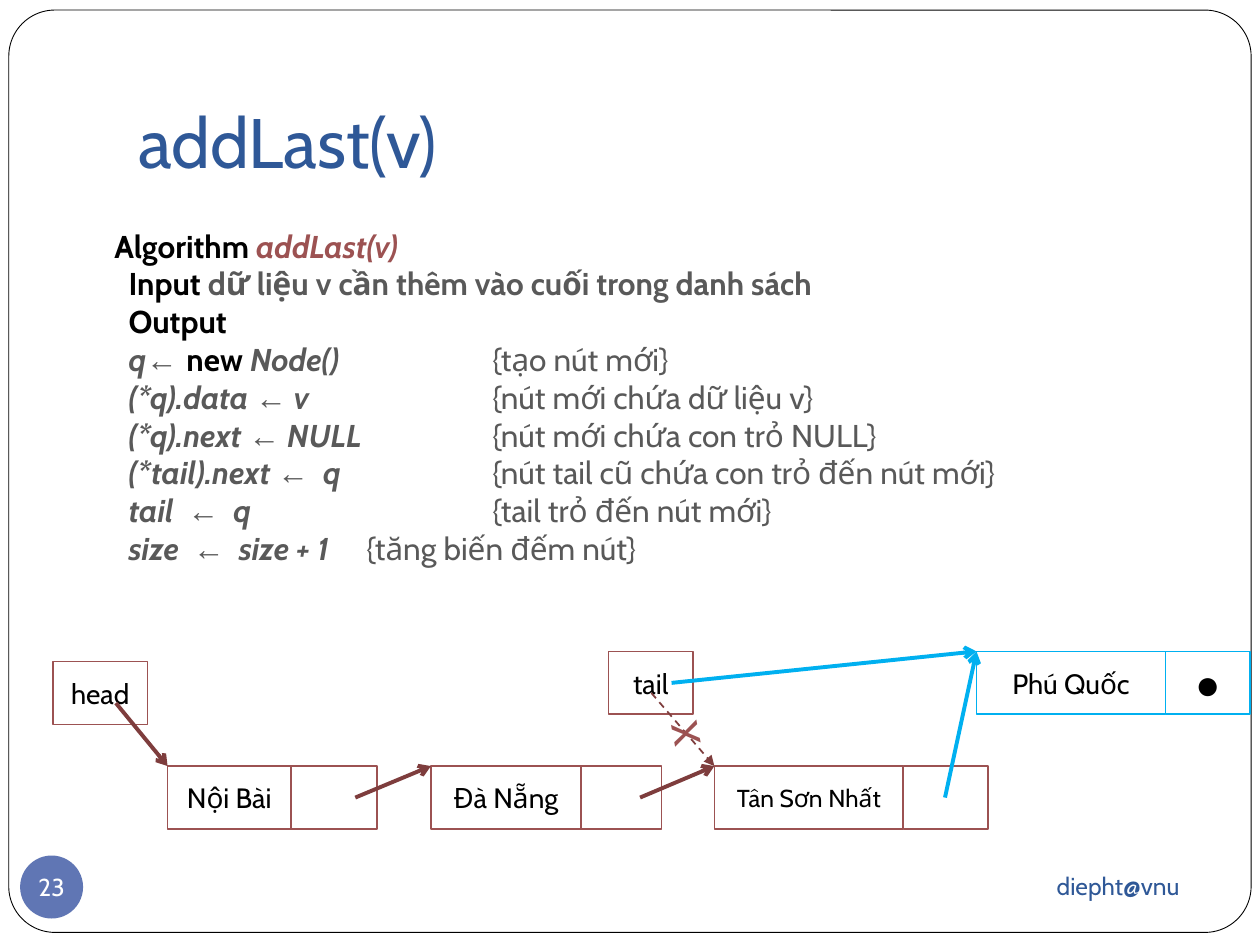
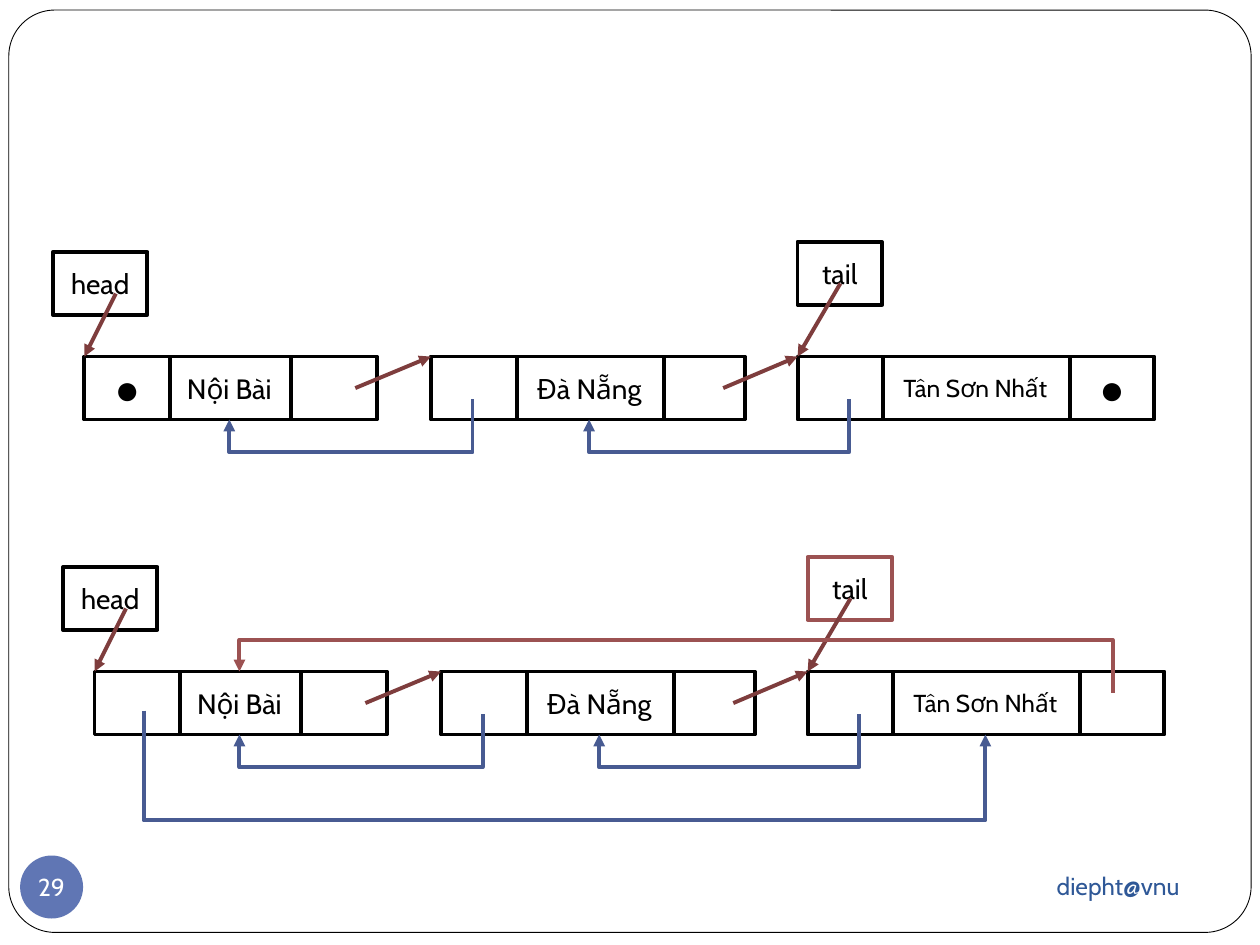
from lxml import etree
from pptx import Presentation
from pptx.dml.color import RGBColor
from pptx.enum.dml import MSO_LINE
from pptx.enum.shapes import MSO_CONNECTOR, MSO_SHAPE
from pptx.enum.text import MSO_ANCHOR, PP_ALIGN
from pptx.oxml.ns import qn
from pptx.util import Inches, Pt

RECTANGLE, ROUNDED, OVAL = MSO_SHAPE.RECTANGLE, MSO_SHAPE.ROUNDED_RECTANGLE, MSO_SHAPE.OVAL
STRAIGHT, ELBOW = MSO_CONNECTOR.STRAIGHT, MSO_CONNECTOR.ELBOW
LEFT, CENTER, RIGHT = PP_ALIGN.LEFT, PP_ALIGN.CENTER, PP_ALIGN.RIGHT
TOP, MIDDLE, BOTTOM = MSO_ANCHOR.TOP, MSO_ANCHOR.MIDDLE, MSO_ANCHOR.BOTTOM
DASH = MSO_LINE.DASH

COLORS = {
    "white": "FFFFFF", "black": "000000", "title": "2F5897", "badge": "6076B4",
    "red": "9C5252", "dark red": "7E3D3D", "blue": "485B92", "cyan": "00B0F0",
    "gray": "595959",
}
FONT, SYMBOL_FONT = "Cabin", "Arial"
STYLES = {
    "keyword": ("black", True, False, FONT),
    "name": ("red", True, True, FONT),
    "input": ("gray", True, False, FONT),
    "code": ("gray", True, True, FONT),
    "assign": ("gray", True, True, SYMBOL_FONT),
    "note": ("gray", False, False, FONT),
    "label": ("black", False, False, FONT),
    "dot": ("black", False, False, SYMBOL_FONT),
    "cross": ("red", False, False, SYMBOL_FONT),
    "title": ("title", False, False, FONT),
    "badge": ("white", False, False, FONT),
}
CELL_HEIGHT = 0.5
NOI_BAI = ("Nội Bài", 16, 0.98, 0.68)
DA_NANG = ("Đà Nẵng", 16, 1.19, 0.64)
TAN_SON_NHAT = ("Tân Sơn Nhất", 14, 1.5, 0.67)
PHU_QUOC = ("Phú Quốc", 16, 1.5, 0.67)

ALGORITHM = [
    [("Algorithm ", "keyword"), ("addLast(v)", "name")],
    [("  Input ", "keyword"), ("dữ liệu v cần thêm vào cuối trong danh sách", "input")],
    [("  Output", "keyword")],
    [("  q", "code"), ("← ", "assign"), ("new", "keyword"), (" Node()\t\t", "code"),
     ("{tạo nút mới}", "note")],
]
ASSIGNMENTS = [
    ("  (*q).data ", " v\t\t", "{nút mới chứa dữ liệu v}"),
    ("  (*q).next ", " NULL \t", "{nút mới chứa con trỏ NULL}"),
    ("  (*tail).next ", "  q\t\t", "{nút tail cũ chứa con trỏ đến nút mới}"),
    ("  tail  ", "  q\t\t", "{tail trỏ đến nút mới}"),
    ("  size  ", "  size + 1\t", "{tăng biến đếm nút}"),
]
ALGORITHM += [
    [(target, "code"), ("←", "assign"), (value, "code"), (note, "note")]
    for target, value, note in ASSIGNMENTS
]


def color(name):
    return RGBColor.from_string(COLORS[name])


class Deck:
    def __init__(self):
        self.presentation = Presentation()
        self.presentation.slide_width = Inches(10)
        self.presentation.slide_height = Inches(7.5)
        self.page = None

    def new_page(self, number):
        self.page = self.presentation.slides.add_slide(self.presentation.slide_layouts[6])
        frame = self.shape(ROUNDED, 0.07, 0.08, 9.86, 7.32, "white", "black", 0.5)
        frame.adjustments[0] = 0.05
        self.text(6.75, 6.77, 2.71, 0.52, [[("diepht@vnu", "title")]], 14, RIGHT, MIDDLE)
        badge = self.shape(OVAL, 0.16, 6.79, 0.5, 0.5, "badge")
        self.add_lines(badge, [[(str(number), "badge")]], 14, CENTER, MIDDLE,
                       wrap=False, margin=0)

    def shape(self, kind, left, top, width, height, fill, line=None, weight=1):
        shape = self.page.shapes.add_shape(
            kind, Inches(left), Inches(top), Inches(width), Inches(height))
        shape.shadow.inherit = False
        shape.fill.solid()
        shape.fill.fore_color.rgb = color(fill)
        if line:
            shape.line.color.rgb = color(line)
            shape.line.width = Pt(weight)
        else:
            shape.line.fill.background()
        return shape

    def add_lines(self, box, lines, size, align=LEFT, anchor=TOP, wrap=True, margin=0.1, tabs=()):
        frame = box.text_frame
        frame.word_wrap = wrap
        frame.vertical_anchor = anchor
        frame.margin_left = frame.margin_right = Inches(margin)
        frame.margin_top = frame.margin_bottom = Inches(margin / 2)
        for index, spans in enumerate(lines):
            para = frame.add_paragraph() if index else frame.paragraphs[0]
            para.alignment = align
            if tabs:
                properties = para._p.get_or_add_pPr()
                tab_list = etree.SubElement(properties, qn("a:tabLst"))
                for position in tabs:
                    etree.SubElement(
                        tab_list, qn("a:tab"), pos=str(Inches(position)), algn="l")
            for words, style in spans:
                tint, bold, italic, font = STYLES[style]
                span = para.add_run()
                span.text = words
                span.font.name = font
                span.font.size = Pt(size)
                span.font.bold = bold
                span.font.italic = italic
                span.font.color.rgb = color(tint)

    def text(self, left, top, width, height, lines, size, *args, **options):
        box = self.page.shapes.add_textbox(
            Inches(left), Inches(top), Inches(width), Inches(height))
        self.add_lines(box, lines, size, *args, **options)
        return box

    def title(self, words):
        box = self.text(1, 0.3, 8.5, 1.25, [[(words, "title")]], 40, LEFT, BOTTOM)
        box.text_frame.margin_bottom = Inches(0.1)

    def cell(self, left, top, width, words="", size=16, line="black", weight=2.25):
        box = self.shape(RECTANGLE, left, top, width, CELL_HEIGHT, "white", line, weight)
        if words == "●":
            self.add_lines(box, [[(words, "dot")]], 24, CENTER, MIDDLE)
        elif words:
            self.add_lines(box, [[(words, "label")]], size, CENTER, MIDDLE)

    def node(self, left, top, place, end="", line="black", weight=2.25):
        name, size, width, next_width = place
        self.cell(left, top, width, name, size, line, weight)
        self.cell(left + width, top, next_width, end, line=line, weight=weight)
        return left + width + next_width

    def connector(self, kind, start, end, line, weight, head):
        connector = self.page.shapes.add_connector(kind, *map(Inches, start + end))
        connector.line.color.rgb = color(line)
        connector.line.width = Pt(weight)
        etree.SubElement(connector.line._get_or_add_ln(), qn("a:tailEnd"), type=head)
        etree.SubElement(connector._element.spPr, qn("a:effectLst"))
        return connector

    def arrow(self, start, end, line="dark red", weight=2.25, head="triangle", dash=None):
        connector = self.connector(STRAIGHT, start, end, line, weight, head)
        if dash:
            connector.line.dash_style = dash

    def loop_arrow(self, start, end, turn, line="blue"):
        connector = self.connector(ELBOW, start, end, line, 2.25, "triangle")
        (start_x, start_y), (end_x, end_y) = start, end
        width, height = abs(end_y - start_y), abs(end_x - start_x)
        connector.left = Inches((start_x + end_x - width) / 2)
        connector.top = Inches((start_y + end_y - height) / 2)
        connector.width, connector.height = Inches(width), Inches(height)
        down, leftward = end_y > start_y, end_x < start_x
        transform = connector._element.spPr.find(qn("a:xfrm"))
        transform.set("rot", str((90 if down and leftward else 270) * 60000))
        transform.set("flipH", "0" if leftward else "1")
        transform.set("flipV", "0" if down else "1")
        bend = round((turn - start_y) / (end_y - start_y) * 100000)
        guides = connector._element.spPr.find(qn("a:prstGeom")).find(qn("a:avLst"))
        etree.SubElement(guides, qn("a:gd"), name="adj1", fmla=f"val {bend}")


def draw_add_last(deck):
    deck.new_page(23)
    deck.title("addLast(v)")
    top, new_left, new_top = 6.08, 7.75, 5.17
    lefts = (1.33, 3.42, 5.67)
    rights = [deck.node(left, top, place, line="red", weight=1)
              for left, place in zip(lefts, (NOI_BAI, DA_NANG, TAN_SON_NHAT))]
    for right, following in zip(rights, lefts[1:]):
        deck.arrow((right - 0.17, top + 0.25), (following, top), head="arrow")
    deck.cell(0.42, 5.25, 0.75, "head", line="red", weight=1)
    deck.arrow((0.92, 5.58), (lefts[0], top), head="arrow")
    deck.cell(4.83, new_top, 0.67, "tail", line="red", weight=1)
    deck.arrow((5.17, 5.5), (lefts[-1], top), weight=1, dash=DASH)
    deck.node(new_left, new_top, PHU_QUOC, "●", "cyan", 1)
    for start in ((5.33, 5.42), (7.5, 6.33)):
        deck.arrow(start, (new_left, new_top), "cyan", head="arrow")
    cross = deck.text(5.2, 5.55, 0.39, 0.57, [[("x", "cross")]], 28, wrap=False)
    cross.rotation = 259.3
    deck.text(0.81, 1.75, 7.6, 2.8, ALGORITHM, 18, wrap=False, tabs=range(8))


def draw_chain(deck, shift, top, circular):
    end = "" if circular else "●"
    places = (NOI_BAI, DA_NANG, TAN_SON_NHAT)
    lefts = [shift + left for left in (0.67, 3.42, 6.33)]
    data_lefts = [left + 0.66 for left in lefts]
    centers = [left + place[2] / 2 for left, place in zip(data_lefts, places)]
    rights = [deck.node(left, top, place, mark)
              for left, place, mark in zip(data_lefts, places, ("", "", end))]
    for left, mark in zip(lefts, (end, "", "")):
        deck.cell(left, top, 0.68, mark)
    for right, following in zip(rights, lefts[1:]):
        deck.arrow((right - 0.17, top + 0.25), (following, top))
    deck.cell(lefts[0] - 0.25, top - 0.83, 0.75, "head")
    deck.arrow((lefts[0] + 0.25, top - 0.5), (lefts[0], top))
    deck.cell(lefts[2], top - 0.91, 0.67, "tail", line="red" if circular else "black")
    deck.arrow((lefts[2] + 0.34, top - 0.58), (lefts[2], top))
    bottom = top + CELL_HEIGHT
    for start, center in zip((lefts[1] + 0.33, lefts[2] + 0.41), centers):
        deck.loop_arrow((start, top + 0.34), (center, bottom), top + 0.76)
    if circular:
        deck.loop_arrow((rights[2] - 0.41, top + 0.17), (centers[0], top), top - 0.25, "red")
        deck.loop_arrow((lefts[0] + 0.39, top + 0.31), (centers[2], bottom), top + 1.18)


def main():
    deck = Deck()
    draw_add_last(deck)
    deck.new_page(29)
    draw_chain(deck, 0, 2.83, False)
    draw_chain(deck, 0.08, 5.33, True)
    deck.presentation.save("out.pptx")


if __name__ == "__main__":
    main()
